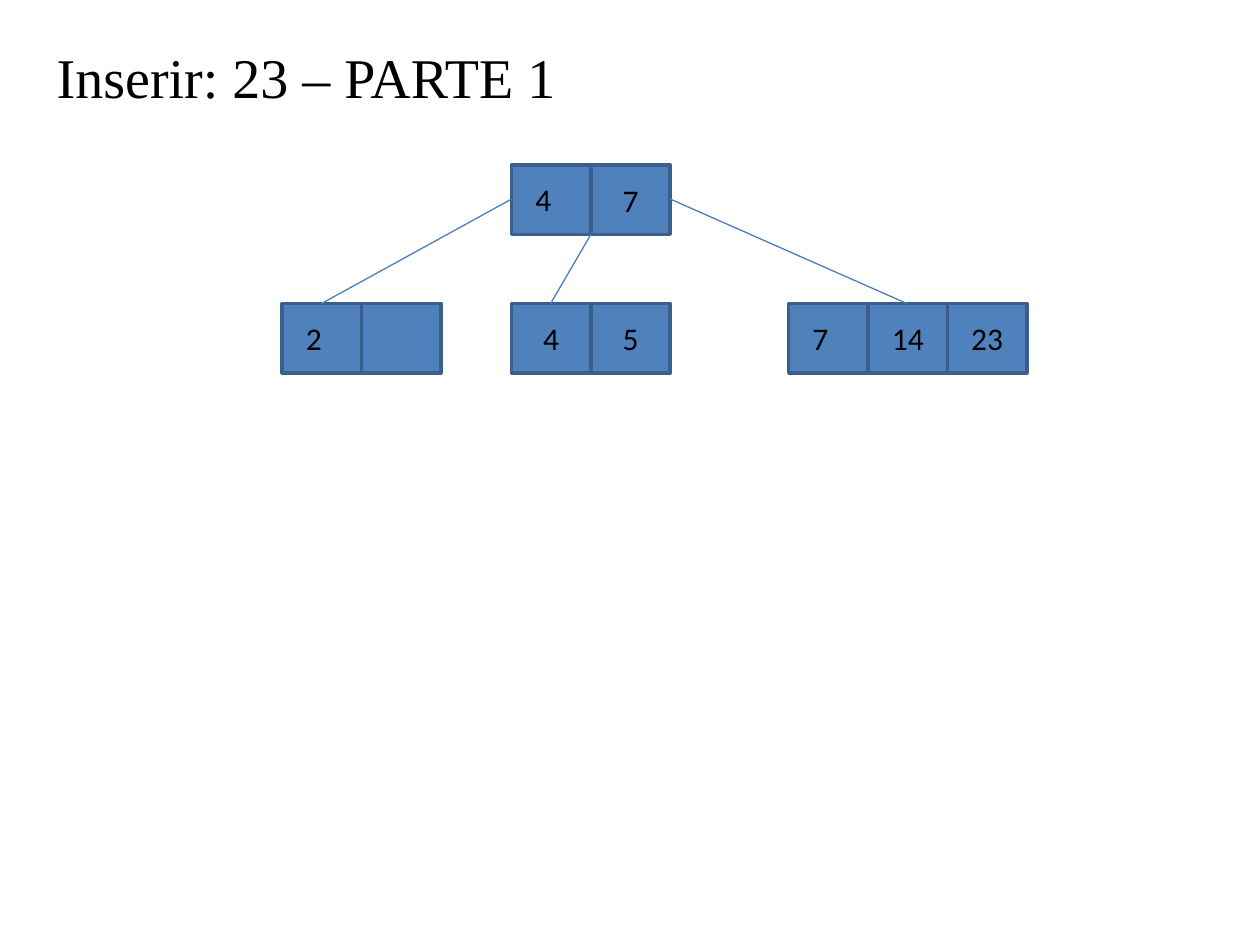
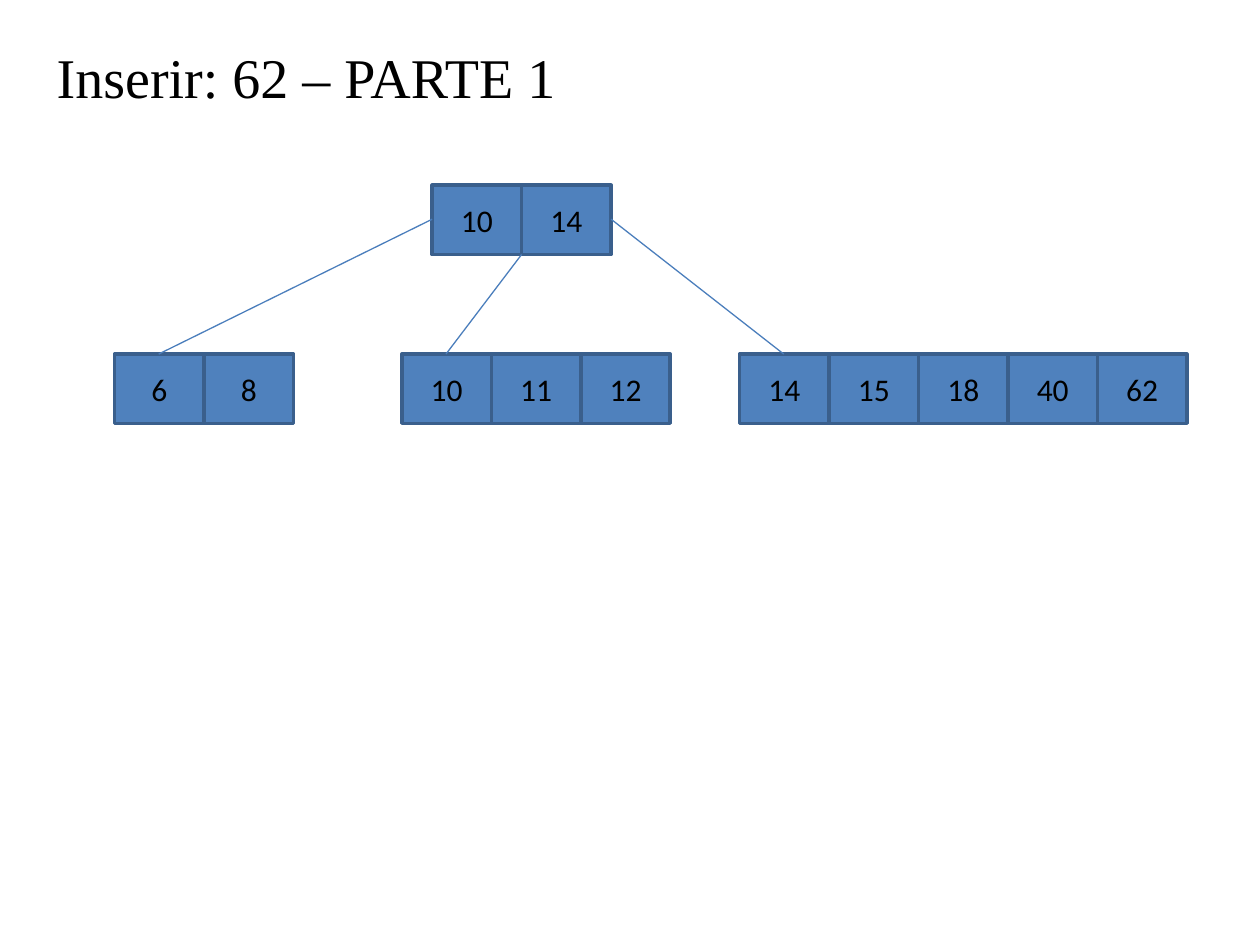
"""Builds two slides that show B+ tree insertions."""
from dataclasses import dataclass

from lxml.etree import SubElement
from pptx import Presentation
from pptx.dml.color import RGBColor
from pptx.enum.shapes import MSO_CONNECTOR, MSO_SHAPE
from pptx.enum.text import MSO_ANCHOR, MSO_AUTO_SIZE, PP_ALIGN
from pptx.oxml.ns import qn
from pptx.slide import Slide
from pptx.text.text import TextFrame
from pptx.util import Emu, Pt

EMU_PER_PX = 9144
CELL_HEIGHT = 55
COLORS = {"cell": "4F81BD", "border": "3A5F8C", "link": "4B7EBC", "text": "000000"}


@dataclass(frozen=True)
class Node:
    left: int
    top: int
    keys: tuple[str, ...]
    first_key_aside: bool = False
    entry_cell: int = 0


@dataclass(frozen=True)
class Insertion:
    heading: str
    heading_size: tuple[int, int]
    cell_width: int
    root: Node
    leaves: tuple[Node, Node, Node]


INSERTIONS = (
    Insertion(
        "Inserir: 23 – PARTE 1", (450, 94), 63,
        Node(406, 131, ("4", "7"), first_key_aside=True),
        (
            Node(224, 241, ("2", ""), first_key_aside=True),
            Node(406, 241, ("4", "5")),
            Node(626, 241, ("7", "14", "23"), first_key_aside=True, entry_cell=1),
        ),
    ),
    Insertion(
        "Inserir: 62 – PARTE 1", (528, 102), 71,
        Node(343, 147, ("10", "14")),
        (
            Node(91, 281, ("6", "8")),
            Node(319, 281, ("10", "11", "12")),
            Node(587, 281, ("14", "15", "18", "40", "62")),
        ),
    ),
)


def px(*lengths: int) -> list[Emu]:
    return [Emu(length * EMU_PER_PX) for length in lengths]


def color(role: str) -> RGBColor:
    return RGBColor.from_string(COLORS[role])


def write(frame: TextFrame, words: str, font: str, size: int, align: PP_ALIGN) -> None:
    frame.text = words
    paragraph = frame.paragraphs[0]
    paragraph.alignment = align
    paragraph.font.name = font
    paragraph.font.size = Pt(size)
    paragraph.font.color.rgb = color("text")


def draw_heading(slide: Slide, insertion: Insertion) -> None:
    heading = slide.shapes.title
    heading.left, heading.top, heading.width, heading.height = px(
        35, 29, *insertion.heading_size
    )
    frame = heading.text_frame
    frame.auto_size = MSO_AUTO_SIZE.NONE
    frame.vertical_anchor = MSO_ANCHOR.TOP
    write(frame, insertion.heading, "Times New Roman", 32, PP_ALIGN.JUSTIFY)
    frame.paragraphs[0].space_before = Pt(3.6)


def draw_node(slide: Slide, node: Node, cell_width: int) -> None:
    for index, key in enumerate(node.keys):
        left = node.left + index * cell_width
        cell = slide.shapes.add_shape(
            MSO_SHAPE.RECTANGLE, *px(left, node.top, cell_width, CELL_HEIGHT)
        )
        cell.shadow.inherit = False
        cell.fill.solid()
        cell.fill.fore_color.rgb = color("cell")
        cell.line.color.rgb = color("border")
        cell.line.width = Pt(2)
        if index == 0 and node.first_key_aside:
            label = slide.shapes.add_textbox(*px(left + 9, node.top + 7, 47, 40))
            label.text_frame.word_wrap = True
            write(label.text_frame, key, "Calibri", 18, PP_ALIGN.LEFT)
        elif key:
            cell.text_frame.vertical_anchor = MSO_ANCHOR.MIDDLE
            write(cell.text_frame, key, "Calibri", 18, PP_ALIGN.CENTER)


def draw_link(slide: Slide, start: tuple[int, int], end: tuple[int, int]) -> None:
    link = slide.shapes.add_connector(MSO_CONNECTOR.STRAIGHT, *px(*start, *end))
    link.line.color.rgb = color("link")
    link.line.width = Pt(0.75)
    SubElement(link._element.spPr, qn("a:effectLst"))


def draw_tree(slide: Slide, insertion: Insertion) -> None:
    root, cell_width = insertion.root, insertion.cell_width
    for node in (root, *insertion.leaves):
        draw_node(slide, node, cell_width)
    middle = root.top + CELL_HEIGHT // 2
    exits = (
        (root.left, middle),
        (root.left + cell_width, root.top + CELL_HEIGHT),
        (root.left + 2 * cell_width, middle),
    )
    for start, leaf in zip(exits, insertion.leaves):
        entry = leaf.left + leaf.entry_cell * cell_width + cell_width // 2
        draw_link(slide, start, (entry, leaf.top))


def main() -> None:
    deck = Presentation()
    deck.slide_width, deck.slide_height = px(1000, 750)
    title_only = deck.slide_layouts[5]
    for insertion in INSERTIONS:
        slide = deck.slides.add_slide(title_only)
        draw_heading(slide, insertion)
        draw_tree(slide, insertion)
    deck.save("out.pptx")


if __name__ == "__main__":
    main()
